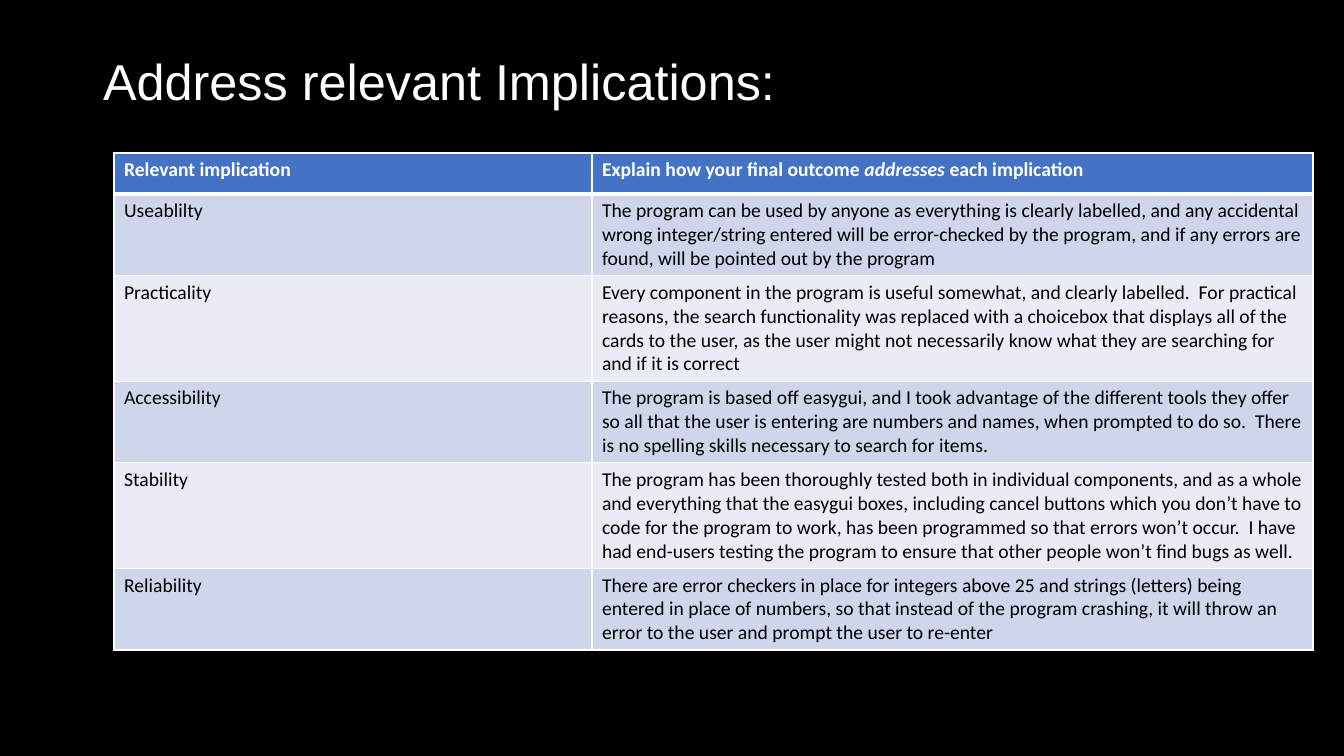
from lxml.etree import SubElement
from pptx import Presentation
from pptx.dml.color import RGBColor
from pptx.enum.text import MSO_ANCHOR, MSO_AUTO_SIZE, PP_ALIGN
from pptx.oxml.ns import qn
from pptx.util import Emu, Pt

TITLE = "Address relevant Implications:"
HEADER = [
    ["Relevant implication"],
    ["Explain how your final outcome ", "addresses", " each implication"],
]
ITALIC_WORD = "addresses"
IMPLICATIONS = [
    ("Useablilty",
     "The program can be used by anyone as everything is clearly labelled, and any "
     "accidental wrong integer/string entered will be error-checked by the program, "
     "and if any errors are found, will be pointed out by the program"),
    ("Practicality",
     "Every component in the program is useful somewhat, and clearly labelled.  For "
     "practical reasons, the search functionality was replaced with a choicebox that "
     "displays all of the cards to the user, as the user might not necessarily know "
     "what they are searching for and if it is correct"),
    ("Accessibility",
     "The program is based off easygui, and I took advantage of the different tools "
     "they offer so all that the user is entering are numbers and names, when prompted "
     "to do so.  There is no spelling skills necessary to search for items."),
    ("Stability",
     "The program has been thoroughly tested both in individual components, and as a "
     "whole and everything that the easygui boxes, including cancel buttons which you "
     "don’t have to code for the program to work, has been programmed so that errors "
     "won’t occur.  I have had end-users testing the program to ensure that other "
     "people won’t find bugs as well."),
    ("Reliability",
     "There are error checkers in place for integers above 25 and strings (letters) "
     "being entered in place of numbers, so that instead of the program crashing, it "
     "will throw an error to the user and prompt the user to re-enter"),
]
COLOURS = {"page": "000000", "light": "FFFFFF", "dark": "000000",
           "header": "4472C4", "odd": "CFD5EA", "even": "E9EBF5"}
PAGE_SIZE = (1344, 756)
TITLE_BOX = (93, 40, 1159, 71)
TABLE_CORNER = (114, 153)
COLUMN_WIDTHS = (478, 721)
ROW_HEIGHT = 41  # rows grow to fit their text


def px(length):
    return Emu(round(length * 914400 / 100.8))


def colour(name):
    return RGBColor.from_string(COLOURS[name])


def style(font, size, face, tint, bold=False):
    font.size, font.name, font.bold = Pt(size), face, bold
    font.color.rgb = colour(tint)


def add_borders(cell, bottom):
    """Draw white 1 pt edges, with the bottom one as thick as given in points."""
    properties = cell._tc.get_or_add_tcPr()
    widths = {"a:lnL": 1, "a:lnR": 1, "a:lnT": 1, "a:lnB": bottom}
    for position, (tag, width) in enumerate(widths.items()):
        line = SubElement(properties, qn(tag), w=str(Pt(width)))
        fill = SubElement(line, qn("a:solidFill"))
        SubElement(fill, qn("a:srgbClr"), val=COLOURS["light"])
        properties.insert(position, line)  # edges precede the cell fill


def fill_cell(cell, pieces, fill, tint, is_header):
    cell.fill.solid()
    cell.fill.fore_color.rgb = colour(fill)
    add_borders(cell, 3 if is_header else 1)
    para = cell.text_frame.paragraphs[0]
    for piece in pieces:
        span = para.add_run()
        span.text = piece
        style(span.font, 14, "Calibri", tint, is_header)
        span.font.italic = piece == ITALIC_WORD


def add_title(page):
    title = page.shapes.title
    title.left, title.top, title.width, title.height = map(px, TITLE_BOX)
    frame = title.text_frame
    frame.text = TITLE
    frame.auto_size = MSO_AUTO_SIZE.NONE
    frame.vertical_anchor = MSO_ANCHOR.MIDDLE
    para = frame.paragraphs[0]
    para.alignment = PP_ALIGN.LEFT
    para.line_spacing = 1.15
    style(para.runs[0].font, 36, "Arial", "light")


def add_implications(page):
    rows = [HEADER] + [[[text] for text in pair] for pair in IMPLICATIONS]
    size = (sum(COLUMN_WIDTHS), ROW_HEIGHT * len(rows))
    table = page.shapes.add_table(
        len(rows), len(COLUMN_WIDTHS), *map(px, TABLE_CORNER + size)).table
    for column, width in zip(table.columns, COLUMN_WIDTHS):
        column.width = px(width)
    for number, row in enumerate(rows):
        table.rows[number].height = px(ROW_HEIGHT)
        is_header = number == 0
        fill = "header" if is_header else "odd" if number % 2 else "even"
        tint = "light" if is_header else "dark"
        for column, pieces in enumerate(row):
            fill_cell(table.cell(number, column), pieces, fill, tint, is_header)


def main():
    deck = Presentation()
    deck.slide_width, deck.slide_height = map(px, PAGE_SIZE)
    page = deck.slides.add_slide(deck.slide_layouts[5])
    page.background.fill.solid()
    page.background.fill.fore_color.rgb = colour("page")
    add_title(page)
    add_implications(page)
    deck.save("out.pptx")


if __name__ == "__main__":
    main()
